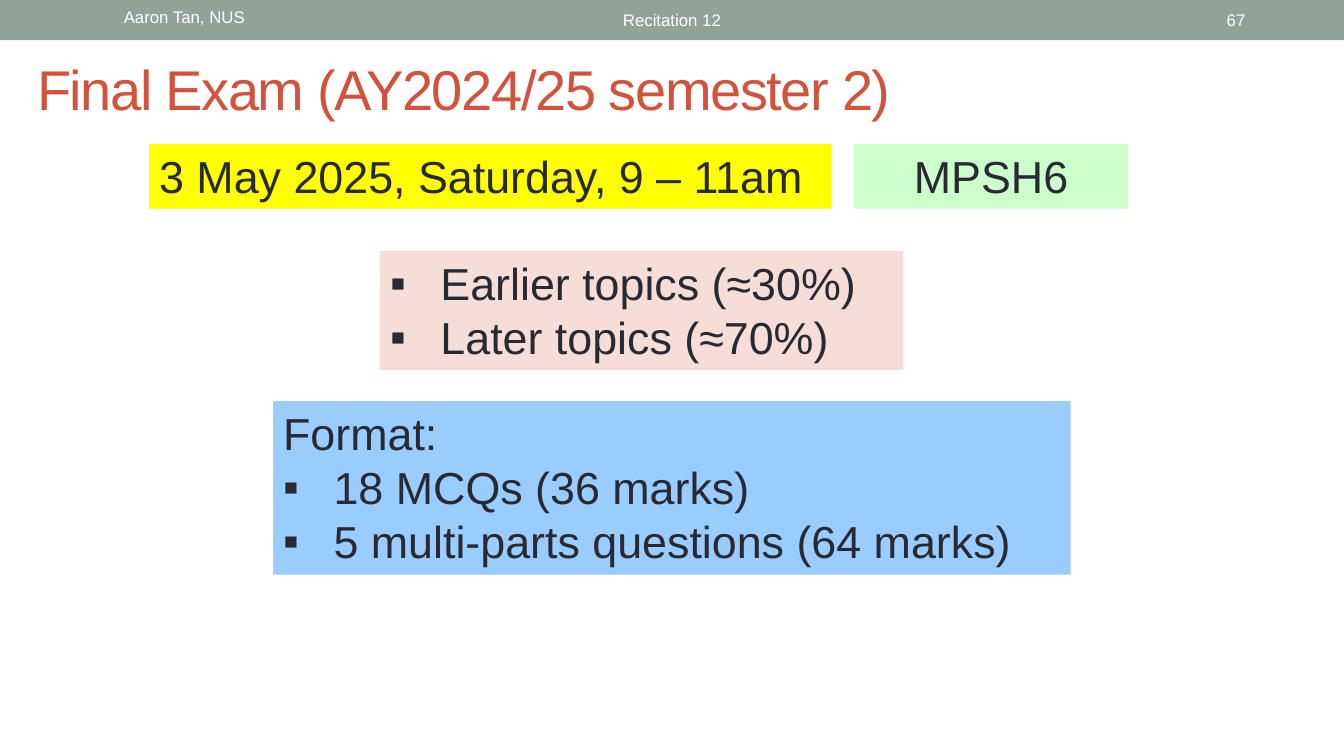
from lxml import etree
from pptx import Presentation
from pptx.dml.color import RGBColor
from pptx.enum import shapes, text
from pptx.oxml.ns import qn
from pptx.util import Inches, Pt

# Content: boxes are (left, top, width, height); a leading "▪" marks a bullet
BAND = (0, 0, 13.33, 0.4)
TITLE = ("Final Exam (AY2024/25 semester 2)", (0.27, 0.43, 9.66, 0.89))
HEADER = [
    ("Aaron Tan, NUS", (1.13, 0.02, 3.17, 0.36), "left", "top"),
    ("Recitation 12", (3.02, 0.02, 7.29, 0.36), "center", "middle"),
    ("67", (11.5, 0.02, 0.95, 0.36), "right", "middle"),
]
PANELS = [
    (["3 May 2025, Saturday, 9 – 11am"], (1.48, 1.43, 6.77, 0.64), "yellow", "left"),
    (["MPSH6"], (8.47, 1.43, 2.72, 0.64), "green", "center"),
    (["▪Earlier topics (≈30%)", "▪Later topics (≈70%)"],
     (3.77, 2.49, 5.19, 1.18), "pink", "left"),
    (["Format:", "▪18 MCQs (36 marks)", "▪5 multi-parts questions (64 marks)"],
     (2.71, 3.98, 7.91, 1.72), "blue", "left"),
]

THEME = {
    "font": "Arial",
    "colors": {"band": "93A299", "title": "D2533C", "body": "292934", "header": "FFFFFF",
               "yellow": "FFFF00", "green": "CCFFCC", "pink": "F6DDD8", "blue": "99CCFF"},
    "sizes": {"title": 40, "body": 32, "header": 12},
    "indent": 0.5,
}
ALIGN = {"left": text.PP_ALIGN.LEFT, "center": text.PP_ALIGN.CENTER,
         "right": text.PP_ALIGN.RIGHT}
ANCHOR = {"top": text.MSO_ANCHOR.TOP, "middle": text.MSO_ANCHOR.MIDDLE}


def color(name):
    return RGBColor.from_string(THEME["colors"][name])


def add_bullet(paragraph):
    properties = paragraph._p.get_or_add_pPr()
    indent = Inches(THEME["indent"])
    properties.set("marL", str(indent))
    properties.set("indent", str(-indent))
    etree.SubElement(properties, qn("a:buFont")).set("typeface", THEME["font"])
    etree.SubElement(properties, qn("a:buChar")).set("char", "▪")


def write(shape, lines, style="body", align="left", anchor="top", spacing=None):
    frame = shape.text_frame
    frame.word_wrap = True
    frame.vertical_anchor = ANCHOR[anchor]
    for index, line in enumerate(lines):
        paragraph = frame.add_paragraph() if index else frame.paragraphs[0]
        paragraph.alignment = ALIGN[align]
        if line.startswith("▪"):
            add_bullet(paragraph)
        run = paragraph.add_run()
        run.text = line.removeprefix("▪")
        run.font.name = THEME["font"]
        run.font.size = Pt(THEME["sizes"][style])
        run.font.color.rgb = color(style)
        if spacing is not None:
            run._r.get_or_add_rPr().set("spc", str(spacing * 100))


def add_panel(slide, box, fill):
    shape = slide.shapes.add_shape(shapes.MSO_SHAPE.RECTANGLE, *map(Inches, box))
    shape.shadow.inherit = False
    shape.fill.solid()
    shape.fill.fore_color.rgb = color(fill)
    shape.line.fill.background()
    return shape


def main():
    presentation = Presentation()
    presentation.slide_width, presentation.slide_height = Inches(13.33), Inches(7.5)
    slide = presentation.slides.add_slide(presentation.slide_layouts[6])

    # Header band and its labels
    add_panel(slide, BAND, "band")
    for label, box, align, anchor in HEADER:
        textbox = slide.shapes.add_textbox(*map(Inches, box))
        write(textbox, [label], style="header", align=align, anchor=anchor)

    # Title
    title, box = TITLE
    textbox = slide.shapes.add_textbox(*map(Inches, box))
    write(textbox, [title], style="title", anchor="middle", spacing=-1)

    # Exam details
    for lines, box, fill, align in PANELS:
        write(add_panel(slide, box, fill), lines, align=align)

    presentation.save("out.pptx")


if __name__ == "__main__":
    main()
